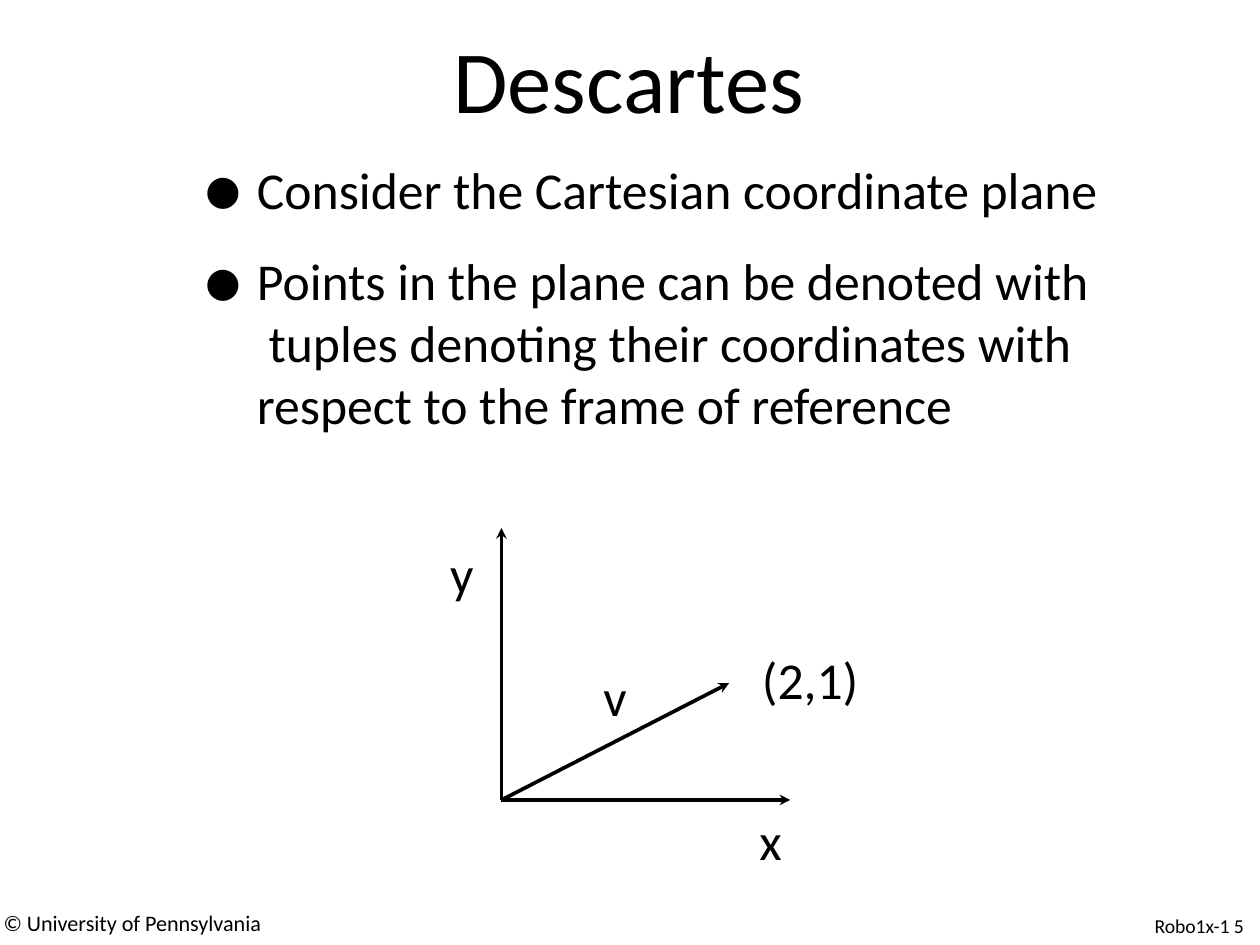
from dataclasses import dataclass
from math import hypot

from lxml.etree import SubElement
from pptx import Presentation
from pptx.dml.color import RGBColor
from pptx.enum.shapes import MSO_CONNECTOR as Connector
from pptx.enum.text import MSO_ANCHOR as Anchor, PP_ALIGN as Align
from pptx.oxml.ns import qn
from pptx.util import Emu, Inches, Pt

# Grid of 128 columns by 96 rows, with square cells
COLUMNS, ROWS = 128, 96
CELL = Inches(1) / 9


@dataclass(frozen=True)
class Theme:
    font: str = "Calibri"
    ink: RGBColor = RGBColor(0, 0, 0)
    title: float = 72
    body: float = 42
    copyright: float = 18
    page: float = 16
    line: float = 3
    tracking: float = -0.03
    bullet_gap: float = 24
    bullet_percent: int = 170


@dataclass(frozen=True)
class TextBlock:
    column: float
    row: float
    columns: float
    rows: float
    paragraphs: tuple[tuple[str, ...], ...]  # lines of each paragraph
    size: float
    align: Align = Align.LEFT
    bulleted: bool = False
    line_spacing: float | None = None


@dataclass(frozen=True)
class Point:
    column: float
    row: float


THEME = Theme()

# Coordinate frame: the vector shares its origin with both axes
ORIGIN = Point(50.94, 81.27)
Y_TIP = Point(ORIGIN.column, 53.64)
X_TIP = Point(80.28, ORIGIN.row)
VECTOR_TIP = Point(74.07, 69.39)

# Arrowhead, in cells behind the tip and to its side
NOTCH, BARB, HALF_WIDTH = 0.72, 1.1, 0.55

BULLETS = (
    ("Consider the Cartesian coordinate plane",),
    ("Points in the plane can be denoted with",
     " tuples denoting their coordinates with respect to the frame of reference"),
)

TEXT_BLOCKS = (
    TextBlock(17.5, 2.52, 92.7, 11.34, (("Descartes",),), THEME.title, Align.CENTER),
    TextBlock(20.34, 16.02, 91.62, 30, BULLETS, THEME.body, bulleted=True),
    TextBlock(77.4, 65.79, 10.08, 6.66, (("(2,1)",),), THEME.body),
    TextBlock(61.29, 67.59, 2.61, 6.66, (("v",),), THEME.body),
    TextBlock(77.13, 82.17, 2.61, 6.66, (("x",),), THEME.body),
    TextBlock(45.72, 55, 2.61, 6.66, (("y",),), THEME.body),
    TextBlock(0.36, 92.79, 26.73, 2.52, (("© University of Pennsylvania",),),
              THEME.copyright, line_spacing=18.1),
    TextBlock(117.3, 93.24, 10, 2.25, (("Robo1x-1 5",),),
              THEME.page, line_spacing=16.1),
)


def cells(count: float) -> Emu:
    return Emu(round(count * CELL))


def add_bullet(paragraph) -> None:
    properties = paragraph._p.get_or_add_pPr()
    properties.set("marL", str(Inches(0.64)))
    properties.set("indent", str(Inches(-0.62)))
    SubElement(properties, qn("a:buSzPct"), val=str(THEME.bullet_percent * 1000))
    SubElement(properties, qn("a:buFont"), typeface=THEME.font)
    SubElement(properties, qn("a:buChar"), char="•")


def add_run(paragraph, text: str, size: float) -> None:
    run = paragraph.add_run()
    run.text = text
    run.font.name = THEME.font
    run.font.size = Pt(size)
    run.font.color.rgb = THEME.ink
    run._r.get_or_add_rPr().set("spc", str(round(THEME.tracking * 100)))


def add_text(slide, block: TextBlock) -> None:
    shape = slide.shapes.add_textbox(cells(block.column), cells(block.row),
                                     cells(block.columns), cells(block.rows))
    frame = shape.text_frame
    frame.word_wrap = True
    frame.vertical_anchor = Anchor.TOP
    frame.margin_left = frame.margin_right = 0
    frame.margin_top = frame.margin_bottom = 0
    for index, lines in enumerate(block.paragraphs):
        paragraph = frame.add_paragraph() if index else frame.paragraphs[0]
        paragraph.alignment = block.align
        if block.bulleted:
            add_bullet(paragraph)
        if index:
            paragraph.space_before = Pt(THEME.bullet_gap)
        if block.line_spacing:
            paragraph.line_spacing = Pt(block.line_spacing)
        for number, line in enumerate(lines):
            if number:
                paragraph.add_line_break()
            add_run(paragraph, line, block.size)


def add_arrow(slide, start: Point, tip: Point) -> None:
    run, rise = tip.column - start.column, tip.row - start.row
    length = hypot(run, rise)
    run, rise = run / length, rise / length

    def behind_tip(back: float, side: float) -> tuple[Emu, Emu]:
        return (cells(tip.column - back * run - side * rise),
                cells(tip.row - back * rise + side * run))

    # Shaft, up to the notch of the head
    notch = behind_tip(NOTCH, 0)
    shaft = slide.shapes.add_connector(
        Connector.STRAIGHT, cells(start.column), cells(start.row), *notch)
    shaft.line.color.rgb = THEME.ink
    shaft.line.width = Pt(THEME.line)
    SubElement(shaft._element.spPr, qn("a:effectLst"))

    # Head with swept-back barbs
    builder = slide.shapes.build_freeform(*behind_tip(0, 0))
    builder.add_line_segments(
        [behind_tip(BARB, HALF_WIDTH), notch, behind_tip(BARB, -HALF_WIDTH)])
    head = builder.convert_to_shape()
    head.shadow.inherit = False
    head.fill.solid()
    head.fill.fore_color.rgb = THEME.ink
    head.line.fill.background()


def main() -> None:
    presentation = Presentation()
    presentation.slide_width = cells(COLUMNS)
    presentation.slide_height = cells(ROWS)
    slide = presentation.slides.add_slide(presentation.slide_layouts[6])

    # Axes and vector
    for tip in (Y_TIP, X_TIP, VECTOR_TIP):
        add_arrow(slide, ORIGIN, tip)

    # Title, bullets, labels and footer
    for block in TEXT_BLOCKS:
        add_text(slide, block)

    presentation.save("out.pptx")


if __name__ == "__main__":
    main()
